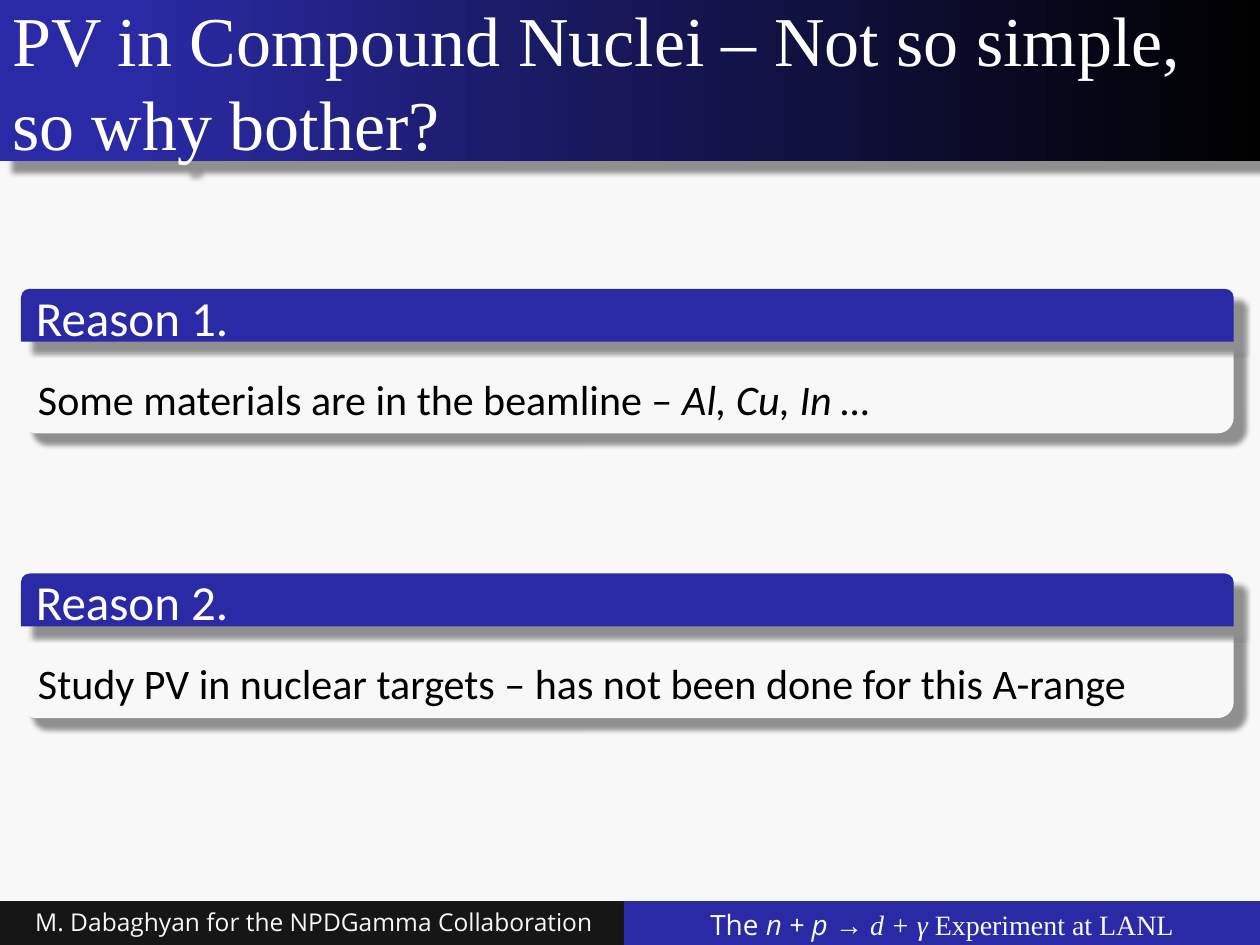
from copy import deepcopy

from lxml.etree import SubElement
from pptx import Presentation
from pptx.dml.color import RGBColor
from pptx.enum.shapes import MSO_SHAPE
from pptx.enum.text import MSO_ANCHOR, PP_ALIGN
from pptx.oxml.ns import qn
from pptx.util import Pt

BLACK = RGBColor(0x00, 0x00, 0x00)
WHITE = RGBColor(0xFF, 0xFF, 0xFF)
PAPER = RGBColor(0xF8, 0xF8, 0xF8)
INK = RGBColor(0x16, 0x16, 0x16)
NAVY = RGBColor(0x17, 0x17, 0x59)
BLUE = RGBColor(0x2A, 0x2A, 0xA6)

SERIF, SANS, FOOTER_FONT = "Times New Roman", "Calibri", "Open Sans"


def add_text(para, text, size, font, color, italic=False):
    span = para.add_run()
    span.text = text
    span.font.size = Pt(size)
    span.font.name = font
    span.font.color.rgb = color
    span.font.italic = italic


class SlideBuilder:
    """Draws the styled elements of one slide."""

    def __init__(self, page):
        self.page = page
        page.background.fill.solid()
        page.background.fill.fore_color.rgb = PAPER

    def box(self, left, top, width, height, color, kind=MSO_SHAPE.RECTANGLE,
            anchor=MSO_ANCHOR.TOP, align=PP_ALIGN.LEFT, shadow=False):
        box = self.page.shapes.add_shape(kind, Pt(left), Pt(top), Pt(width), Pt(height))
        box.shadow.inherit = False
        box.fill.solid()
        box.fill.fore_color.rgb = color
        box.line.fill.background()
        box.text_frame.word_wrap = True
        box.text_frame.vertical_anchor = anchor
        box.text_frame.paragraphs[0].alignment = align
        if shadow:
            self.cast_shadow(box)
        return box

    def cast_shadow(self, box):
        effects = box._element.spPr.find(qn("a:effectLst"))
        shadow = SubElement(effects, qn("a:outerShdw"), blurRad=str(Pt(3)),
                            dist=str(Pt(9)), dir=str(45 * 60000),
                            algn="tl", rotWithShape="0")
        color = SubElement(shadow, qn("a:srgbClr"), val=str(BLACK))
        SubElement(color, qn("a:alpha"), val="42000")

    def title(self, text):
        box = self.box(0, 0, 720, 92, BLUE, anchor=MSO_ANCHOR.MIDDLE, shadow=True)
        box.fill.gradient()
        box.fill.gradient_angle = 180
        # A new gradient has two stops; this one needs three
        stop_list = box._element.spPr.find(".//" + qn("a:gsLst"))
        stop_list.append(deepcopy(stop_list[-1]))
        stops = [(0, BLACK), (0.51, NAVY), (0.9, BLUE)]
        for stop, (position, color) in zip(box.fill.gradient_stops, stops):
            stop.position = position
            stop.color.rgb = color
        add_text(box.text_frame.paragraphs[0], text, 40, SERIF, WHITE)

    def reason(self, top, heading, parts):
        left, width, heading_height = 12, 693, 30.2
        rounded = MSO_SHAPE.ROUND_2_SAME_RECTANGLE
        body = self.box(left, top + heading_height, width, 52.5, PAPER, rounded, shadow=True)
        body.adjustments[0] = 0.01
        body.adjustments[1] = 0.175
        para = body.text_frame.paragraphs[0]
        para.line_spacing = 1.5
        for text, italic in parts:
            add_text(para, text, 24, SANS, BLACK, italic)
        header = self.box(left, top, width, heading_height, BLUE, rounded,
                          MSO_ANCHOR.MIDDLE, shadow=True)
        add_text(header.text_frame.paragraphs[0], heading, 28, SANS, WHITE)

    def footer(self, left, width, color, size, parts):
        box = self.box(left, 515, width, 25, color, align=PP_ALIGN.CENTER)
        for text, font, italic in parts:
            add_text(box.text_frame.paragraphs[0], text, size, font, PAPER, italic)


def main():
    deck = Presentation()
    deck.slide_width, deck.slide_height = Pt(720), Pt(540)
    builder = SlideBuilder(deck.slides.add_slide(deck.slide_layouts[6]))

    builder.title("PV in Compound Nuclei – Not so simple, so why bother?")

    # Reason blocks at an equal pitch
    reasons = [
        [("Some materials are in the beamline – ", False), ("Al, Cu, In …", True)],
        [("Study PV in nuclear targets – has not been done for this A-range", False)],
    ]
    for index, parts in enumerate(reasons):
        builder.reason(165 + 162.7 * index, f"Reason {index + 1}.", parts)

    # Footer bars
    builder.footer(0, 359, INK, 14, [
        ("M. Dabaghyan for the NPDGamma Collaboration", FOOTER_FONT, False)])
    builder.footer(356.5, 363.5, BLUE, 16, [
        ("The ", FOOTER_FONT, False),
        ("n + p ", FOOTER_FONT, True),
        ("→ d + γ ", SERIF, True),
        ("Experiment at LANL", SERIF, False)])

    deck.save("out.pptx")


if __name__ == "__main__":
    main()
